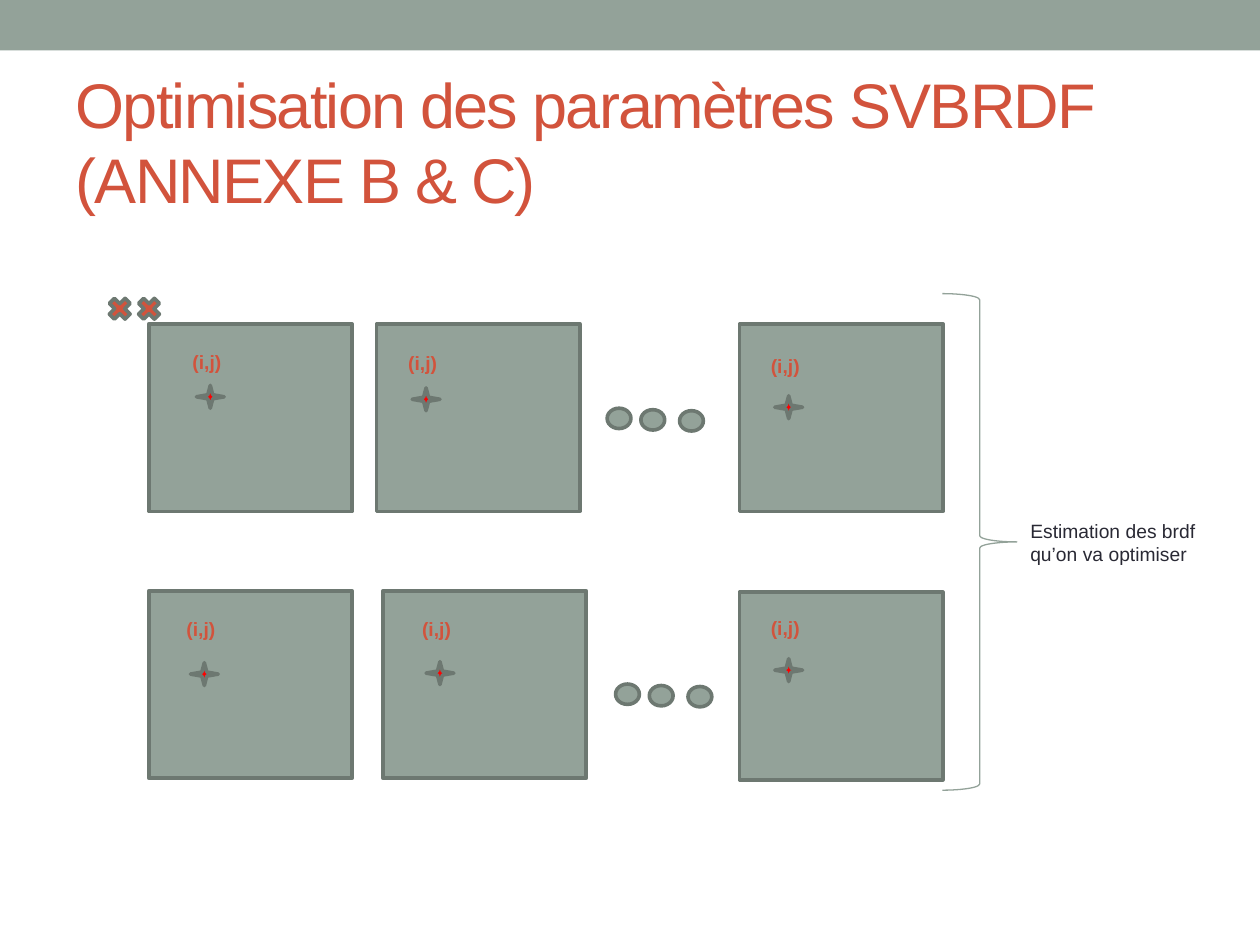
from pptx import Presentation, util as u
from pptx.dml.color import RGBColor
from pptx.enum import shapes, text

SAGE = RGBColor(0x93, 0xA2, 0x99)
DARK_SAGE = RGBColor(0x6D, 0x78, 0x71)
RUST = RGBColor(0xD2, 0x53, 0x3C)
RED = RGBColor(0xFF, 0x00, 0x00)
INK = RGBColor(0x29, 0x29, 0x34)
KIND = shapes.MSO_SHAPE

# Frame corner, label corner and drop from label to star, in cm
TILES = [
    ((3.0, 6.53), (3.63, 6.93), 0.84),
    ((7.59, 6.53), (7.98, 6.96), 0.86),
    ((14.91, 6.53), (15.29, 7.01), 0.97),
    ((3.0, 11.91), (3.51, 12.32), 1.04),
    ((7.72, 11.91), (8.26, 12.32), 1.02),
    ((14.91, 11.94), (15.29, 12.29), 0.99),
]
DOT_ROWS = [(12.24, 8.23), (12.41, 13.79)]
DOT_OFFSETS = [(0, 0), (0.68, 0.03), (1.46, 0.05)]


class SlideBuilder:
    def __init__(self, slide, font="Arial"):
        self.slide = slide
        self.font = font

    def style(self, frame, wording, size, color, bold=False):
        frame.text = wording
        frame.word_wrap = True
        para = frame.paragraphs[0]
        para.alignment = text.PP_ALIGN.LEFT
        para.font.name = self.font
        para.font.size = u.Pt(size)
        para.font.bold = bold
        para.font.color.rgb = color
        return para

    def title(self, wording, left, top, width, height):
        box = self.slide.shapes.title
        box.left, box.top = u.Cm(left), u.Cm(top)
        box.width, box.height = u.Cm(width), u.Cm(height)
        para = self.style(box.text_frame, wording, 36, RUST)
        box.text_frame.vertical_anchor = text.MSO_ANCHOR.MIDDLE
        box.text_frame.auto_size = text.MSO_AUTO_SIZE.NONE
        para.runs[0].font._element.set("spc", "-100")

    def shape(self, kind, left, top, width, height, fill=SAGE,
              line=DARK_SAGE, weight=2.08):
        """Add a preset shape; None for fill or line leaves that part out."""
        shape = self.slide.shapes.add_shape(
            kind, u.Cm(left), u.Cm(top), u.Cm(width), u.Cm(height))
        shape.shadow.inherit = False
        if fill is None:
            shape.fill.background()
        else:
            shape.fill.solid()
            shape.fill.fore_color.rgb = fill
        if line is None:
            shape.line.fill.background()
        else:
            shape.line.color.rgb = line
            shape.line.width = u.Pt(weight)

    def text_box(self, wording, left, top, width, height, color, bold=False):
        box = self.slide.shapes.add_textbox(
            u.Cm(left), u.Cm(top), u.Cm(width), u.Cm(height))
        self.style(box.text_frame, wording, 11, color, bold)
        box.text_frame.auto_size = text.MSO_AUTO_SIZE.SHAPE_TO_FIT_TEXT


def main():
    deck = Presentation()
    deck.slide_width, deck.slide_height = u.Cm(25.4), u.Cm(19.05)
    page = SlideBuilder(deck.slides.add_slide(deck.slide_layouts[5]))

    page.shape(KIND.RECTANGLE, 0, 0, 25.4, 1.02, line=None)
    page.title("Optimisation des paramètres SVBRDF (ANNEXE B & C)",
               1.27, 1.47, 22.86, 2.74)

    for left in (2.11, 2.7):
        page.shape(KIND.MATH_MULTIPLY, left, 5.92, 0.61, 0.61, fill=RUST)

    for frame, label, drop in TILES:
        page.shape(KIND.RECTANGLE, *frame, 4.1, 3.78)
        page.shape(KIND.STAR_4_POINT, label[0] + 0.33, label[1] + drop,
                   0.56, 0.46, fill=RED)
        page.text_box("(i,j)", *label, 1.19, 0.74, RUST, bold=True)

    for left, top in DOT_ROWS:
        for across, down in DOT_OFFSETS:
            page.shape(KIND.FLOWCHART_CONNECTOR, left + across, top + down,
                       0.48, 0.41)

    page.shape(KIND.RIGHT_BRACE, 19, 5.92, 1.5, 10.01,
               fill=None, line=SAGE, weight=0.75)
    page.text_box("Estimation des brdf qu’on va optimiser",
                  20.52, 10.34, 4.19, 1.19, INK)

    deck.save("out.pptx")


if __name__ == "__main__":
    main()
